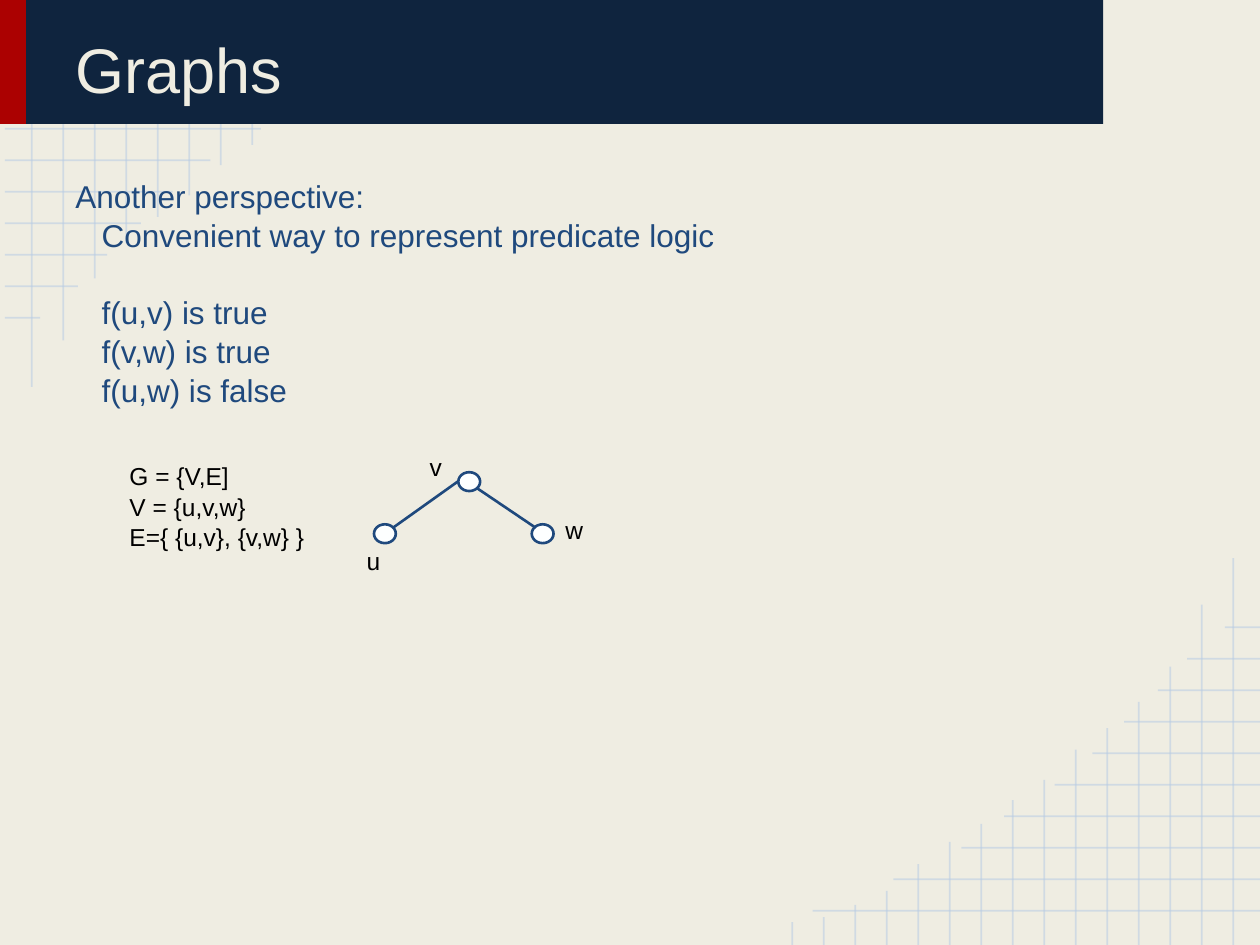
from lxml import etree
from pptx import Presentation
from pptx.dml.color import RGBColor
from pptx.enum.shapes import MSO_CONNECTOR, MSO_SHAPE
from pptx.enum.text import MSO_ANCHOR
from pptx.oxml.ns import qn
from pptx.util import Cm, Pt

STRAIGHT = MSO_CONNECTOR.STRAIGHT
RECTANGLE = MSO_SHAPE.RECTANGLE
OVAL = MSO_SHAPE.OVAL
TOP = MSO_ANCHOR.TOP
BOTTOM = MSO_ANCHOR.BOTTOM

COLORS = {
    "paper": "EFEDE2",
    "grid": "B7CCE4",
    "red": "AB0101",
    "navy": "0F243E",
    "blue": "1F497D",
    "node": "FDFFFF",
    "black": "000000",
}
FONT = "Arial"
WIDTH, HEIGHT = 25.4, 19.05
GRID_STEP = 2.54 / 4
GRID_EDGE = 0.1
ROW_START, COLUMN_START = 0.69, 0.64
ROW_ENDS = [9.12, 7.49, 6.12, 5.26, 4.24, 3.48, 2.84, 2.16, 1.57, 0.81]
COLUMN_ENDS = [7.8, 6.86, 5.61, 4.9, 4.37, 3.94, 3.33, 2.92,
               2.44, 2.08, 1.63, 1.09, 0.81, 0.56, 0.46]
NODE_WIDTH, NODE_HEIGHT = 0.44, 0.38
NODES = [(7.54, 10.57), (9.24, 9.52), (10.72, 10.57)]
EDGES = [((9.6, 9.83), (10.8, 10.64)), ((9.24, 9.7), (7.92, 10.64))]
LABELS = [("u", 7.14, 10.74), ("v", 8.41, 8.84), ("w", 11.15, 10.11)]
BODY = [
    ("Another perspective:", 0, 0),
    ("Convenient way to represent predicate logic", 0.53, 0),
    ("f(u,v) is true", 0.53, 21.5),
    ("f(v,w) is true", 0.53, 0),
    ("f(u,w) is false", 0.53, 0),
]
DEFINITIONS = ["G = {V,E]", "V = {u,v,w}", "E={ {u,v}, {v,w} }"]


def color(name):
    return RGBColor.from_string(COLORS[name])


def add_line(page, start, end, line_color, width, opacity=None):
    line = page.shapes.add_connector(
        STRAIGHT, *(Cm(value) for value in (*start, *end)))
    line.line.color.rgb = color(line_color)
    line.line.width = Pt(width)
    properties = line._element.spPr
    if opacity is not None:
        fill = properties.find(".//" + qn("a:srgbClr"))
        etree.SubElement(fill, qn("a:alpha"), val=str(opacity * 1000))
    etree.SubElement(properties, qn("a:effectLst"))


def add_filled(page, kind, bounds, fill, outline=None):
    shape = page.shapes.add_shape(kind, *(Cm(value) for value in bounds))
    shape.shadow.inherit = False
    shape.fill.solid()
    shape.fill.fore_color.rgb = color(fill)
    if outline is None:
        shape.line.fill.background()
    else:
        shape.line.color.rgb = color(outline)
        shape.line.width = Pt(1.5)


def add_text(page, bounds, lines, size, text_color, anchor=TOP):
    box = page.shapes.add_textbox(*(Cm(value) for value in bounds))
    frame = box.text_frame
    frame.word_wrap = True
    frame.vertical_anchor = anchor
    frame.margin_left = frame.margin_right = Cm(0.25)
    frame.margin_top = frame.margin_bottom = Cm(0.25)
    for index, (text, indent, gap) in enumerate(lines):
        para = frame.add_paragraph() if index else frame.paragraphs[0]
        para.line_spacing = 1.04
        para.space_before = Pt(gap)
        if indent:
            para._p.get_or_add_pPr().set("marL", str(Cm(indent)))
        span = para.add_run()
        span.text = text
        span.font.name = FONT
        span.font.size = Pt(size)
        span.font.color.rgb = color(text_color)


def add_corner_grid(page, place):
    for index, end in enumerate(ROW_ENDS):
        y = ROW_START + index * GRID_STEP
        add_line(page, place(GRID_EDGE, y), place(end, y), "grid", 1, 54)
    for index, end in enumerate(COLUMN_ENDS):
        x = COLUMN_START + index * GRID_STEP
        add_line(page, place(x, end), place(x, 0), "grid", 1, 54)


def add_graph(page):
    for left, top in NODES:
        add_filled(page, OVAL, (left, top, NODE_WIDTH, NODE_HEIGHT),
                   "node", "blue")
    add_text(page, (2.36, 9.02, 4.7, 2.36),
             [(text, 0, 0) for text in DEFINITIONS], 14, "black")
    for text, left, top in LABELS:
        add_text(page, (left, top, 1.45, 0.91), [(text, 0, 0)], 14, "black")
    for start, end in EDGES:
        add_line(page, start, end, "blue", 1.5)


def main():
    deck = Presentation()
    deck.slide_width, deck.slide_height = Cm(WIDTH), Cm(HEIGHT)
    page = deck.slides.add_slide(deck.slide_layouts[6])
    page.background.fill.solid()
    page.background.fill.fore_color.rgb = color("paper")

    add_corner_grid(page, lambda x, y: (x, y))
    add_corner_grid(page, lambda x, y: (WIDTH + GRID_EDGE - x, HEIGHT - y))
    add_filled(page, RECTANGLE, (0, -0.03, 0.53, 2.53), "red")
    add_filled(page, RECTANGLE, (0.53, -0.03, 21.71, 2.53), "navy")
    add_text(page, (1.27, 0.38, 20.32, 2), [("Graphs", 0, 0)],
             36, "paper", BOTTOM)
    add_text(page, (1.27, 3.28, 22.86, 14.07), BODY, 18, "blue")
    add_graph(page)
    deck.save("out.pptx")


if __name__ == "__main__":
    main()
